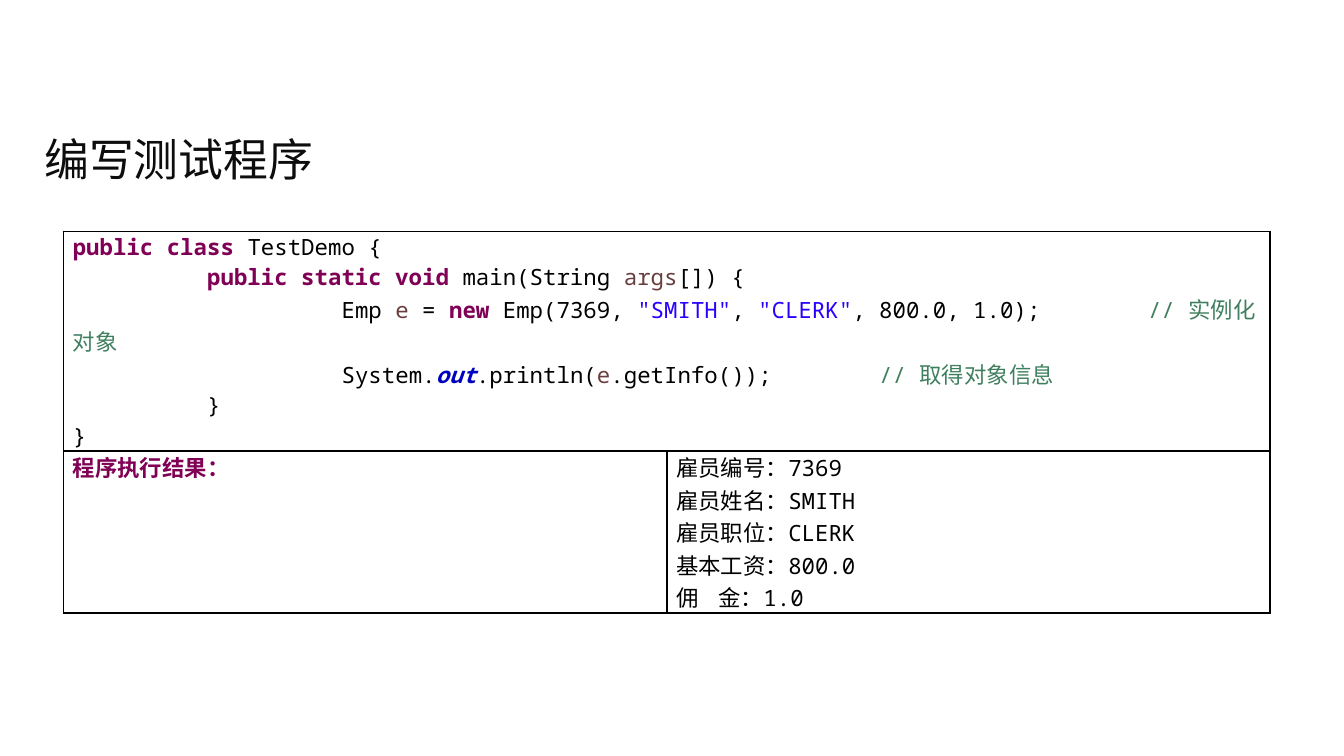
from typing import NamedTuple

from lxml.etree import SubElement
from pptx import Presentation
from pptx.dml.color import RGBColor
from pptx.enum.text import MSO_ANCHOR as Anchor, PP_ALIGN as Align
from pptx.oxml.ns import qn
from pptx.util import Inches, Pt

COLORS = {
    "title": "0D0D0D",
    "plain": "000000",
    "keyword": "7F0055",
    "variable": "6A3E3E",
    "string": "2A00FF",
    "comment": "3F7F5F",
    "static": "0000C0",
}
BOLD = {"keyword", "static"}
SANS, MONO = "Noto Sans CJK SC", "Noto Sans Mono"
WIDTH = Inches(10)
HEIGHT = WIDTH * 9 // 16
TAB = Inches(1)


class Token(NamedTuple):
    text: str
    style: str = "plain"


class Box(NamedTuple):
    left: float
    top: float
    width: float
    height: float

    def place(self) -> tuple[int, ...]:
        shares = ((self.left, WIDTH), (self.top, HEIGHT),
                  (self.width, WIDTH), (self.height, HEIGHT))
        return tuple(round(percent * full / 100) for percent, full in shares)


TITLE_BOX = Box(2.3, 15.3, 95.3, 11.4)
TABLE_BOX = Box(4.72, 30.6, 89.8, 39.1)

CODE = [
    [Token("public class", "keyword"), Token(" TestDemo {")],
    [Token("\t"), Token("public static void", "keyword"), Token(" main(String "),
     Token("args", "variable"), Token("[]) {")],
    [Token("\t\tEmp "), Token("e", "variable"), Token(" = "), Token("new", "keyword"),
     Token(" Emp(7369, "), Token('"SMITH"', "string"), Token(", "),
     Token('"CLERK"', "string"), Token(", 800.0, 1.0);\t"),
     Token("// 实例化对象", "comment")],
    [Token("\t\tSystem."), Token("out", "static"), Token(".println("),
     Token("e", "variable"), Token(".getInfo());\t"), Token("// 取得对象信息", "comment")],
    [Token("\t}")],
    [Token("}")],
]
LABEL = [[Token("程序执行结果：", "keyword")]]
RESULT = [[Token(line)] for line in (
    "雇员编号：7369", "雇员姓名：SMITH", "雇员职位：CLERK", "基本工资：800.0", "佣    金：1.0")]


def add_text(p, text: str, *, size: float = 12, font: str = MONO, color: str = "plain",
             bold: bool = False, italic: bool = False) -> None:
    r = p.add_run()
    r.text = text
    f = r.font
    f.size, f.name, f.bold, f.italic = Pt(size), font, bold, italic
    f.color.rgb = RGBColor.from_string(COLORS[color])
    SubElement(r._r.get_or_add_rPr(), qn("a:ea"), typeface=SANS)


def format_cell(cell) -> None:
    cell.margin_left = cell.margin_right = Inches(0.07)
    cell.margin_top = cell.margin_bottom = 0
    tc_pr = cell._tc.get_or_add_tcPr()
    for side in "LRTB":
        ln = SubElement(tc_pr, qn(f"a:ln{side}"), w=str(Pt(1)))
        fill = SubElement(ln, qn("a:solidFill"))
        SubElement(fill, qn("a:srgbClr"), val=COLORS["plain"])
    cell.fill.background()


def fill_cell(cell, lines: list[list[Token]]) -> None:
    tf = cell.text_frame
    for i, line in enumerate(lines):
        p = tf.add_paragraph() if i else tf.paragraphs[0]
        p.alignment = Align.JUSTIFY if line == [Token("}")] else Align.LEFT
        p._p.get_or_add_pPr().set("defTabSz", str(TAB))
        for token in line:
            add_text(p, token.text, color=token.style, bold=token.style in BOLD,
                     italic=token.style == "static")


def add_title(slide, text: str) -> None:
    sp = slide.shapes.title
    sp.left, sp.top, sp.width, sp.height = TITLE_BOX.place()
    tf = sp.text_frame
    tf.vertical_anchor = Anchor.MIDDLE
    p = tf.paragraphs[0]
    p.alignment = Align.LEFT
    add_text(p, text, size=24, font=SANS, color="title")


def add_code_table(slide) -> None:
    left, top, width, height = TABLE_BOX.place()
    frame = slide.shapes.add_table(2, 2, left, top, width, height)
    table = frame.table
    table.first_row = table.horz_banding = False
    for row in table.rows:
        row.height = 0
    frame.height = height
    for cell in table.iter_cells():
        format_cell(cell)
    table.cell(0, 0).merge(table.cell(0, 1))
    for (row, col), lines in {(0, 0): CODE, (1, 0): LABEL, (1, 1): RESULT}.items():
        fill_cell(table.cell(row, col), lines)


def main() -> None:
    prs = Presentation()
    prs.slide_width, prs.slide_height = WIDTH, HEIGHT
    slide = prs.slides.add_slide(prs.slide_layouts[5])
    add_title(slide, "编写测试程序")
    add_code_table(slide)
    prs.save("out.pptx")


if __name__ == "__main__":
    main()
